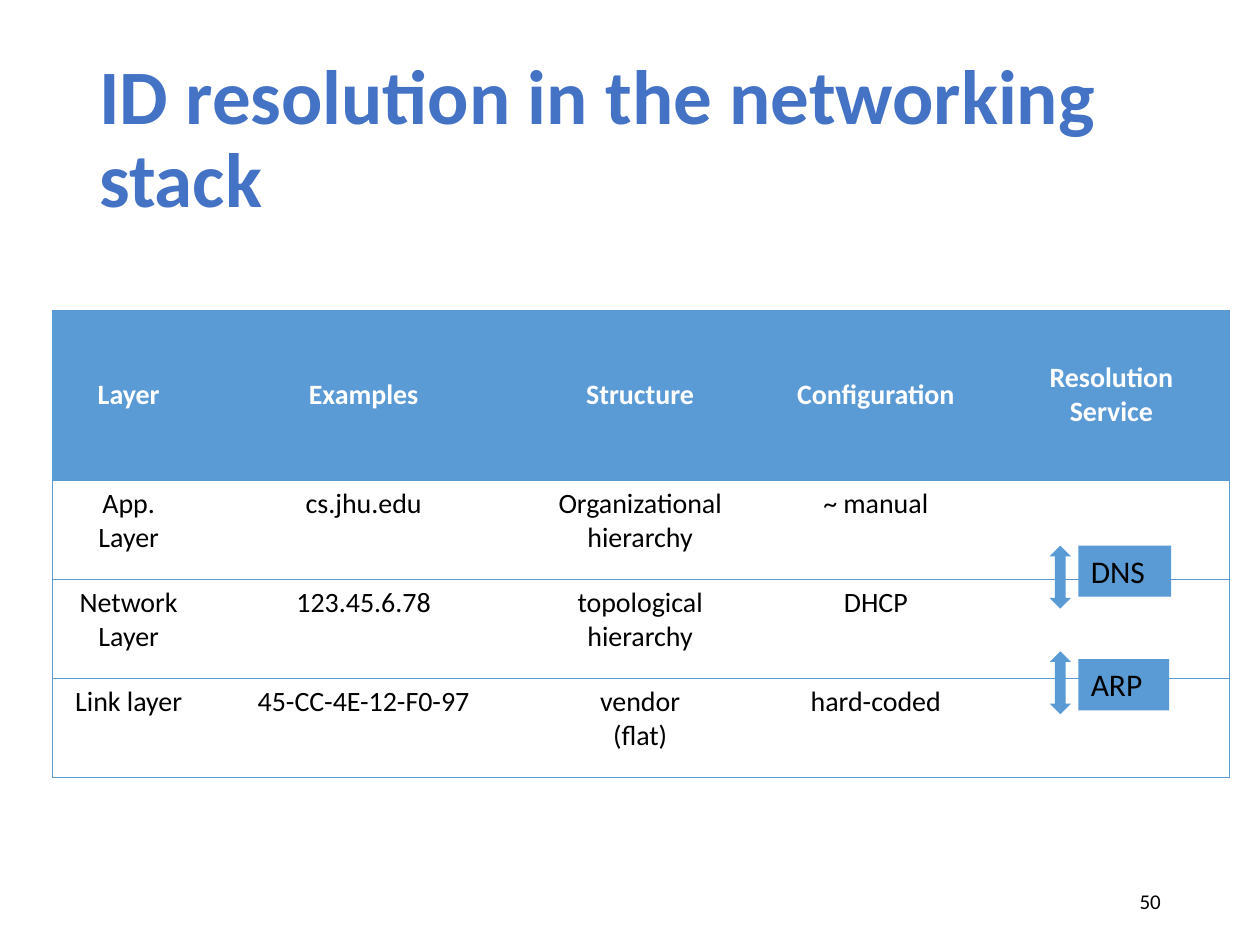
from dataclasses import dataclass

from lxml import etree
from pptx import Presentation
from pptx.dml.color import RGBColor
from pptx.enum.shapes import MSO_SHAPE
from pptx.enum.text import MSO_ANCHOR, PP_ALIGN
from pptx.oxml.ns import qn
from pptx.util import Cm, Pt

LEFT, CENTER, RIGHT = PP_ALIGN.LEFT, PP_ALIGN.CENTER, PP_ALIGN.RIGHT
TOP, MIDDLE = MSO_ANCHOR.TOP, MSO_ANCHOR.MIDDLE
RECTANGLE, UP_DOWN_ARROW = MSO_SHAPE.RECTANGLE, MSO_SHAPE.UP_DOWN_ARROW
PLAIN_TABLE_STYLE = "{2D5ABB26-0587-4C30-8999-92F81FD0307C}"


@dataclass(frozen=True)
class Theme:
    font: str = "Calibri"
    title: str = "4472C4"
    accent: str = "5B9BD5"
    text: str = "000000"
    header_text: str = "FFFFFF"
    title_size: int = 44
    label_size: int = 18
    table_size: int = 16
    number_size: int = 12
    border: float = 0.5


@dataclass(frozen=True)
class Service:
    name: str
    arrow_top: float
    label_top: float
    label_width: float


THEME = Theme()
COLUMN_WIDTHS = [3.07, 6.4, 4.75, 4.75, 4.75]
ROW_HEIGHTS = [3.43, 2, 2, 2]
ROWS = [
    ["Layer", "Examples", "Structure", "Configuration", "Resolution\nService"],
    ["App.\nLayer", "cs.jhu.edu", "Organizational hierarchy", "~ manual", ""],
    ["Network\nLayer", "123.45.6.78", "topological hierarchy", "DHCP", ""],
    ["Link layer", "45-CC-4E-12-F0-97", "vendor\n(flat)", "hard-coded", ""],
]
SERVICES = [
    Service("DNS", 11, 11, 1.87),
    Service("ARP", 13.13, 13.29, 1.83),
]


def write(tf, text: str, *, size: int, color: str = THEME.text, bold: bool = False,
          align=LEFT, spacing: float = 1.0) -> None:
    """Fill a text frame, one paragraph for each line of text."""
    tf.text = text
    for p in tf.paragraphs:
        p.alignment = align
        p.line_spacing = spacing
        for r in p.runs:
            r.font.name = THEME.font
            r.font.size = Pt(size)
            r.font.bold = bold
            r.font.color.rgb = RGBColor.from_string(color)


def add_text(slide, text: str, left: float, top: float, width: float, height: float,
             **text_format) -> None:
    tf = slide.shapes.add_textbox(Cm(left), Cm(top), Cm(width), Cm(height)).text_frame
    tf.word_wrap = True
    tf.vertical_anchor = MIDDLE
    write(tf, text, **text_format)


def add_solid(slide, kind, left: float, top: float, width: float, height: float):
    sp = slide.shapes.add_shape(kind, Cm(left), Cm(top), Cm(width), Cm(height))
    sp.shadow.inherit = False
    sp.fill.solid()
    sp.fill.fore_color.rgb = RGBColor.from_string(THEME.accent)
    sp.line.fill.background()
    return sp


def set_borders(cell, sides: str) -> None:
    """Draw the sides named by letters, in the order L, R, T, B."""
    tc_pr = cell._tc.get_or_add_tcPr()
    for i, side in enumerate(sides):
        ln = etree.Element(qn(f"a:ln{side}"), w=str(Pt(THEME.border)))
        fill = etree.SubElement(ln, qn("a:solidFill"))
        etree.SubElement(fill, qn("a:srgbClr"), val=THEME.accent)
        tc_pr.insert(i, ln)


def add_layer_table(slide, left: float, top: float) -> None:
    frame = slide.shapes.add_table(len(ROWS), len(COLUMN_WIDTHS), Cm(left), Cm(top),
                                   Cm(sum(COLUMN_WIDTHS)), Cm(sum(ROW_HEIGHTS)))
    table = frame.table
    table.horz_banding = False
    table._tbl.tblPr.find(qn("a:tableStyleId")).text = PLAIN_TABLE_STYLE
    for column, width in zip(table.columns, COLUMN_WIDTHS):
        column.width = Cm(width)
    last = len(COLUMN_WIDTHS) - 1
    for i, (row, height) in enumerate(zip(ROWS, ROW_HEIGHTS)):
        table.rows[i].height = Cm(height)
        header = i == 0
        for j, text in enumerate(row):
            cell = table.cell(i, j)
            cell.vertical_anchor = MIDDLE if header else TOP
            if header:
                cell.fill.solid()
                cell.fill.fore_color.rgb = RGBColor.from_string(THEME.accent)
            else:
                cell.fill.background()
            set_borders(cell, {0: "L", last: "R"}.get(j, "") + "TB")
            write(cell.text_frame, text, size=THEME.table_size, bold=header, align=CENTER,
                  color=THEME.header_text if header else THEME.text)


def add_service(slide, service: Service) -> None:
    add_solid(slide, UP_DOWN_ARROW, 21.16, service.arrow_top, 0.43, 1.27)
    sp = add_solid(slide, RECTANGLE, 21.74, service.label_top, service.label_width, 1.03)
    tf = sp.text_frame
    tf.word_wrap = False
    tf.vertical_anchor = TOP
    write(tf, service.name, size=THEME.label_size)


def main() -> None:
    prs = Presentation()
    prs.slide_width, prs.slide_height = Cm(25.4), Cm(19.05)
    slide = prs.slides.add_slide(prs.slide_layouts[6])
    add_text(slide, "ID resolution in the networking stack", 1.75, 1.01, 21.9, 3.68,
             size=THEME.title_size, color=THEME.title, bold=True, spacing=0.9)
    add_layer_table(slide, 1.06, 6.25)
    for service in SERVICES:
        add_service(slide, service)
    add_text(slide, "50", 17.94, 17.66, 5.71, 1.01, size=THEME.number_size, align=RIGHT)
    prs.save("out.pptx")


if __name__ == "__main__":
    main()
